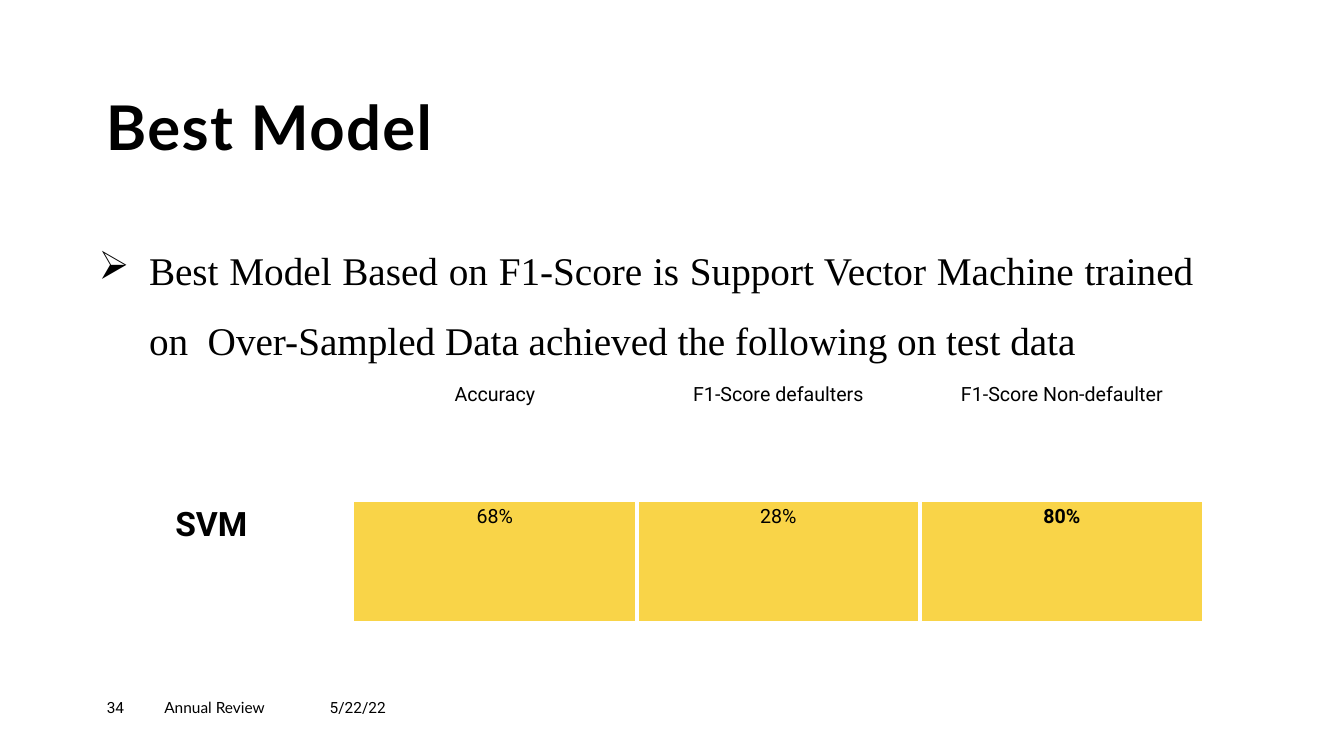
from lxml.etree import SubElement
from pptx import Presentation
from pptx.dml.color import RGBColor
from pptx.enum.text import MSO_ANCHOR, PP_ALIGN
from pptx.oxml.ns import qn
from pptx.util import Pt

PX = 9144  # EMU per px, 100 px to the inch
COLORS = {"text": "000000", "border": "FFFFFF", "score": "F9D448"}


def add_text(box, text, font_name, size, margins=(0, 0), anchor=MSO_ANCHOR.TOP):
    """Add a one-paragraph text box; box is left, top, width, height in px."""
    frame = slide.shapes.add_textbox(*[length * PX for length in box]).text_frame
    frame.word_wrap = True
    frame.vertical_anchor = anchor
    frame.margin_left = frame.margin_right = margins[0] * PX
    frame.margin_top = frame.margin_bottom = margins[1] * PX
    paragraph = frame.paragraphs[0]
    paragraph.text = text
    set_font(paragraph, font_name, size)
    return paragraph


def set_font(paragraph, name, size, bold=False):
    font = paragraph.font
    font.name, font.size, font.bold = name, Pt(size), bold
    font.color.rgb = RGBColor.from_string(COLORS["text"])


presentation = Presentation()
presentation.slide_width = 1333 * PX
presentation.slide_height = 750 * PX
slide = presentation.slides.add_slide(presentation.slide_layouts[6])

# Title
title = add_text((105, 96, 827, 67), "Best Model", "Lato", 44, anchor=MSO_ANCHOR.BOTTOM)
title.font.bold = True
title.line_spacing = 0.9
title.runs[0].font._element.set("spc", "100")

# Score table
rows = [
    ["", "Accuracy", "F1-Score defaulters", "F1-Score Non-defaulter"],
    ["SVM", "68%", "28%", "80%"],
]
table = slide.shapes.add_table(2, 4, 69 * PX, 375 * PX, 1125 * PX, 243 * PX).table
table.first_row = table.horz_banding = False
for row_index, row in enumerate(rows):
    for column_index, text in enumerate(row):
        cell = table.cell(row_index, column_index)
        is_score = row_index == 1 and column_index > 0
        is_model = row_index == 1 and column_index == 0

        properties = cell._tc.get_or_add_tcPr()
        for side in ("lnL", "lnR", "lnT", "lnB"):
            if row_index == 0:
                width = 2.21 if side == "lnB" else 0.96
            elif is_model or side == "lnT" or (side == "lnL" and column_index == 1):
                width = 2.21
            else:
                width = 3
            line = SubElement(properties, qn(f"a:{side}"), w=str(Pt(width)))
            fill = SubElement(line, qn("a:solidFill"))
            SubElement(fill, qn("a:srgbClr"), val=COLORS["border"])

        if is_score:
            cell.fill.solid()
            cell.fill.fore_color.rgb = RGBColor.from_string(COLORS["score"])
        else:
            cell.fill.background()

        paragraph = cell.text_frame.paragraphs[0]
        paragraph.text = text
        paragraph.alignment = PP_ALIGN.CENTER
        set_font(paragraph, "Roboto", 24 if is_model else 14, is_model or text == "80%")

# Footer
for left, width, text, font_name in [
    (106, 57, "34", "Roboto"),
    (163, 164, "Annual Review", "Lato"),
    (327, 144, "5/22/22", "Roboto"),
]:
    add_text((left, 693, width, 27), text, font_name, 11)

# Bullet
bullet = add_text(
    (-12, 216, 1206, 150),
    "Best Model Based on F1-Score is Support Vector Machine trained "
    "on  Over-Sampled Data achieved the following on test data",
    "Times New Roman", 28, margins=(10, 5),
)
bullet.alignment = PP_ALIGN.JUSTIFY
bullet.line_spacing = 1.5
properties = bullet._p.get_or_add_pPr()
properties.set("marL", str(150 * PX))
properties.set("indent", str(-50 * PX))
bullet_char = properties.makeelement(qn("a:buChar"), {"char": "➢"})
properties.find(qn("a:lnSpc")).addnext(bullet_char)

presentation.save("out.pptx")
